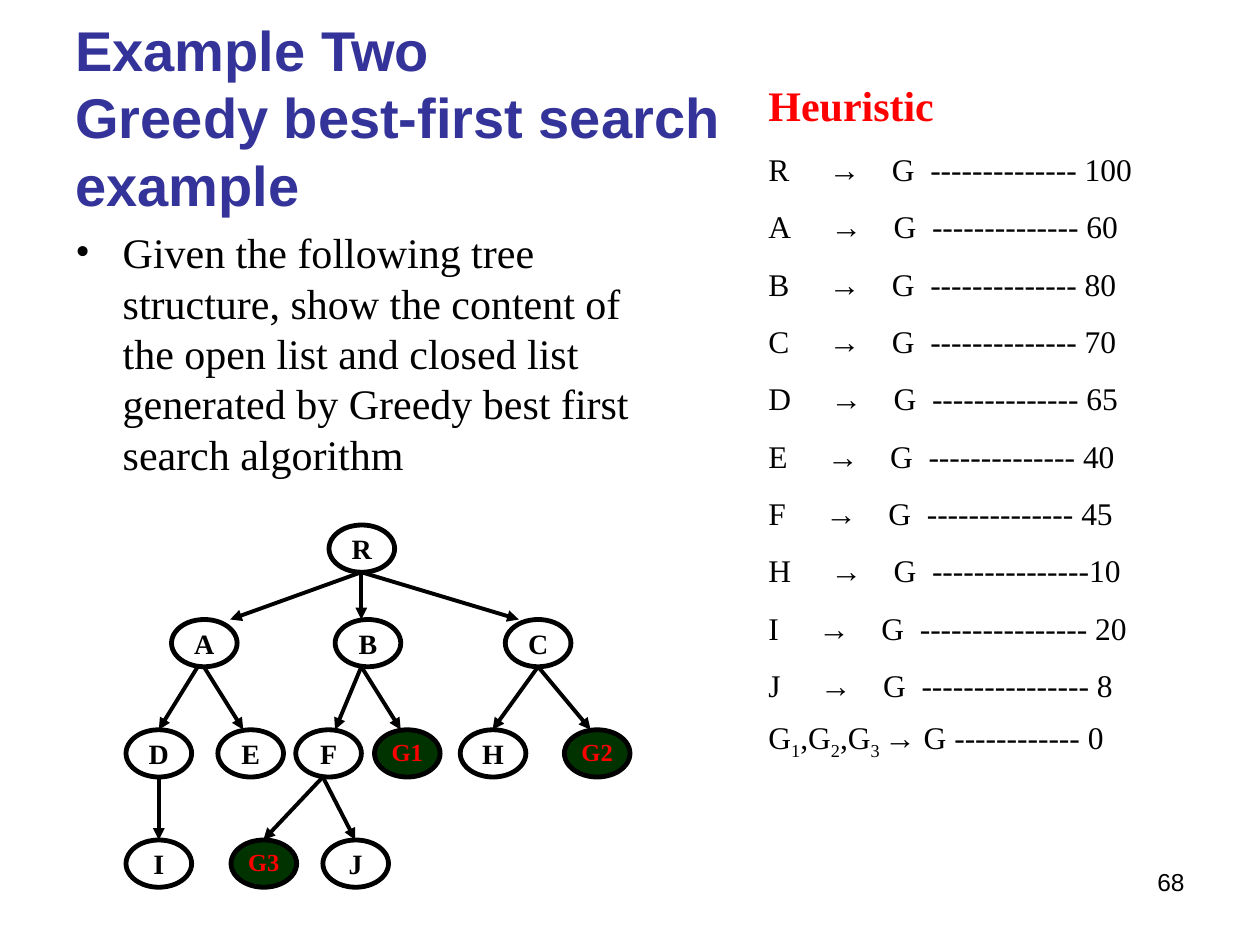
"""Build the greedy best-first search example slide."""
import lxml.etree
import pptx
import pptx.dml.color
import pptx.enum.shapes
import pptx.enum.text
import pptx.oxml.ns
import pptx.util

Pt = pptx.util.Pt
RGB = pptx.dml.color.RGBColor
ALIGN = pptx.enum.text.PP_ALIGN
ANCHOR = pptx.enum.text.MSO_ANCHOR
SHAPE = pptx.enum.shapes.MSO_SHAPE
qn = pptx.oxml.ns.qn

BLACK = RGB(0x00, 0x00, 0x00)
WHITE = RGB(0xFF, 0xFF, 0xFF)
RED = RGB(0xFF, 0x00, 0x00)
GREEN = RGB(0x00, 0x33, 0x00)
NAVY = RGB(0x33, 0x33, 0x99)
SERIF, SANS = "Times New Roman", "Arial"

NODE_W, NODE_H = 37.5, 27
LEVELS = [
    (300, [("R", 188)]),
    (354, [("A", 98), ("B", 191.5), ("C", 288.75)]),
    (417, [("D", 72), ("E", 124.5), ("F", 169), ("G1", 214), ("H", 263), ("G2", 322.5)]),
    (480, [("I", 72), ("G3", 132), ("J", 184.5)]),
]
EDGES = [
    [(206.5, 131.5), (206.5, 206.5), (206.5, 296.5)],
    [(113, 90.75), (116.5, 139), (206.5, 191.5), (206.5, 229), (307.5, 281.5), (307.5, 337.5)],
    [(90.75, 90.75), (184.5, 150.5), (184.5, 203)],
]
HEURISTIC = [
    ("R", 12, "-------------- 100"), ("A", 13, "-------------- 60"),
    ("B", 12, "-------------- 80"), ("C", 12, "-------------- 70"),
    ("D", 13, "-------------- 65"), ("E", 11, "-------------- 40"),
    ("F", 10, "-------------- 45"), ("H", 13, "---------------10"),
    ("I", 6, "---------------- 20"), ("J", 7, "---------------- 8"),
]


class Deck:
    """Hold the style and the current slide."""

    def __init__(self, width, height):
        self.prs = pptx.Presentation()
        self.prs.slide_width, self.prs.slide_height = Pt(width), Pt(height)
        self.s = self.prs.slides.add_slide(self.prs.slide_layouts[6])

    def box(self, x, y, w, h, anchor=ANCHOR.TOP):
        """Add a wrapping text box and return its text frame."""
        tf = self.s.shapes.add_textbox(Pt(x), Pt(y), Pt(w), Pt(h)).text_frame
        tf.word_wrap = True
        tf.vertical_anchor = anchor
        return tf

    def run(self, p, text, size, color=BLACK, font=SERIF, bold=False, baseline=0):
        """Add one styled run to a paragraph."""
        r = p.add_run()
        r.text = text
        r.font.size, r.font.name, r.font.bold = Pt(size), font, bold
        r.font.color.rgb = color
        if baseline:
            r._r.get_or_add_rPr().set("baseline", str(baseline * 1000))

    def bullet(self, p, indent):
        """Give a paragraph a hanging round bullet."""
        pPr = p._p.get_or_add_pPr()
        pPr.set("marL", str(Pt(indent)))
        pPr.set("indent", str(-Pt(indent)))
        lxml.etree.SubElement(pPr, qn("a:buFont"), typeface=SERIF)
        lxml.etree.SubElement(pPr, qn("a:buChar"), char="•")

    def tabs(self, p, stops):
        """Set left tab stops on a paragraph."""
        tab_list = lxml.etree.SubElement(p._p.get_or_add_pPr(), qn("a:tabLst"))
        for stop in stops:
            lxml.etree.SubElement(tab_list, qn("a:tab"), pos=str(Pt(stop)), algn="l")

    def node(self, name, x, y):
        """Add a tree node; goal nodes are dark with red text."""
        goal = name.startswith("G")
        sp = self.s.shapes.add_shape(SHAPE.OVAL, Pt(x), Pt(y), Pt(NODE_W), Pt(NODE_H))
        sp.shadow.inherit = False
        sp.fill.solid()
        sp.fill.fore_color.rgb = GREEN if goal else WHITE
        sp.line.color.rgb, sp.line.width = BLACK, Pt(2.75)
        tf = sp.text_frame
        tf.margin_left = tf.margin_right = tf.margin_top = tf.margin_bottom = 0
        tf.vertical_anchor = ANCHOR.TOP
        p = tf.paragraphs[0]
        p.alignment = ALIGN.CENTER
        self.run(p, name, 14 if goal else 16, RED if goal else BLACK, bold=True)

    def arrow(self, x1, y1, x2, y2):
        """Add a straight arrow between two points."""
        kind = pptx.enum.shapes.MSO_CONNECTOR.STRAIGHT
        sp = self.s.shapes.add_connector(kind, Pt(x1), Pt(y1), Pt(x2), Pt(y2))
        sp.line.color.rgb, sp.line.width = BLACK, Pt(2.25)
        lxml.etree.SubElement(sp.line._get_or_add_ln(), qn("a:tailEnd"), type="triangle")
        lxml.etree.SubElement(sp._element.spPr, qn("a:effectLst"))


def add_texts(deck):
    """Add the title, the task and the slide number."""
    p = deck.box(36, 21.6, 384, 90, ANCHOR.MIDDLE).paragraphs[0]
    p.line_spacing = Pt(38.4)
    deck.run(p, "Example Two", 32, NAVY, SANS, True)
    p.add_line_break()
    deck.run(p, "Greedy best-first search example", 32, NAVY, SANS, True)

    p = deck.box(36, 126, 342, 162).paragraphs[0]
    deck.bullet(p, 27)
    p.line_spacing = Pt(28.8)
    deck.run(p, "Given the following tree structure, show the content of the open list "
                "and closed list generated by Greedy best first search algorithm", 24)

    p = deck.box(516, 492, 168, 37.5).paragraphs[0]
    p.alignment = ALIGN.RIGHT
    deck.run(p, "68", 14, font=SANS)


def add_tree(deck):
    """Add the search tree."""
    for y, nodes in LEVELS:
        for name, x in nodes:
            deck.node(name, x, y)
    for (top, _), (bottom, _), edges in zip(LEVELS, LEVELS[1:], EDGES):
        for x1, x2 in edges:
            deck.arrow(x1, top + NODE_H, x2, bottom)


def add_heuristic(deck):
    """Add the list of estimated distances to the goal."""
    tf = deck.box(432, 42, 264, 400)
    p = tf.paragraphs[0]
    p.line_spacing = Pt(28.8)
    deck.run(p, "Heuristic", 24, RED, bold=True)

    def add_row():
        p = tf.add_paragraph()
        p.line_spacing, p.space_before = Pt(21.6), Pt(11.2)
        return p

    for name, width, value in HEURISTIC:
        p = add_row()
        deck.tabs(p, [width + gap for gap in (22.5, 58.5, 80.5)])
        deck.run(p, name + "\t", 18)
        deck.run(p, "→", 18, font=SANS)
        deck.run(p, "\tG\t" + value, 18)

    p = add_row()
    for text, digit in (("G", "1"), (",G", "2"), (",G", "3 ")):
        deck.run(p, text, 18)
        deck.run(p, digit, 18, baseline=-25)
    deck.run(p, "→", 18, font=SANS)
    deck.run(p, " G ------------ 0", 18)


def main():
    """Build and save the slide."""
    deck = Deck(720, 540)
    add_texts(deck)
    add_tree(deck)
    add_heuristic(deck)
    deck.prs.save("out.pptx")


if __name__ == "__main__":
    main()
